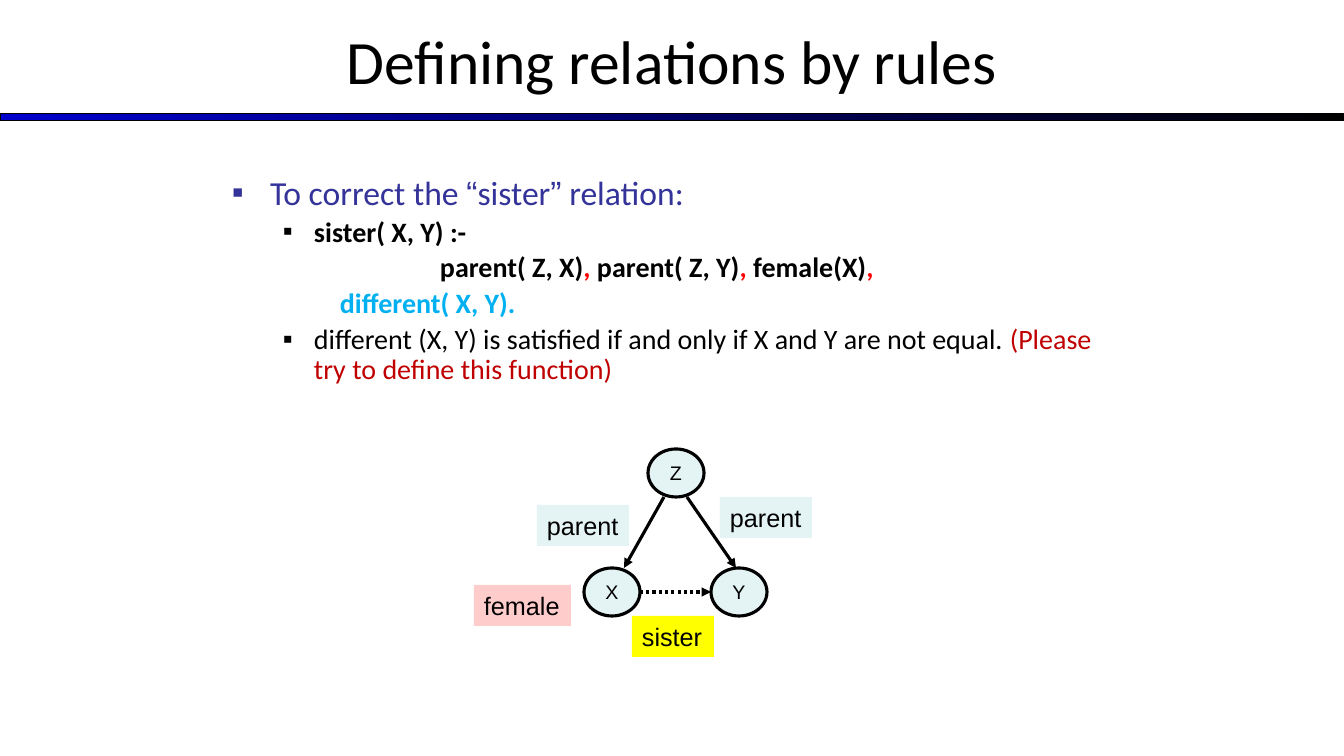
from dataclasses import dataclass

from lxml import etree
from pptx import Presentation
from pptx.dml.color import RGBColor
from pptx.enum.dml import MSO_LINE
from pptx.enum.shapes import MSO_CONNECTOR, MSO_SHAPE
from pptx.enum.text import MSO_ANCHOR, MSO_AUTO_SIZE, PP_ALIGN
from pptx.oxml.ns import qn
from pptx.util import Pt

OVAL, RECT = MSO_SHAPE.OVAL, MSO_SHAPE.RECTANGLE
STRAIGHT = MSO_CONNECTOR.STRAIGHT
DOTTED = MSO_LINE.ROUND_DOT
MIDDLE, TOP = MSO_ANCHOR.MIDDLE, MSO_ANCHOR.TOP
CENTER, LEFT = PP_ALIGN.CENTER, PP_ALIGN.LEFT
NO_AUTOFIT = MSO_AUTO_SIZE.NONE
SLIDE_W, SLIDE_H = 1344, 756
EMU_PER_PX = 12192000 / SLIDE_W
TITLE_ONLY = 5


@dataclass(frozen=True)
class Theme:
    text_font: str = "Calibri"
    diagram_font: str = "Arial"
    black: str = "000000"
    blue: str = "0000CC"
    indigo: str = "333399"
    red: str = "FF0000"
    dark_red: str = "C00000"
    cyan: str = "00B0F0"
    pale: str = "E4F3F4"
    pink: str = "FFCCCC"
    yellow: str = "FFFF00"
    title_size: int = 44
    lead_size: int = 24
    body_size: int = 20
    label_size: int = 18
    node_size: int = 14
    thin: float = 0.75
    thick: float = 2.25


def px(length):
    return round(length * EMU_PER_PX)


def rgb(color):
    return RGBColor.from_string(color)


def apply(target, values):
    for name, value in values.items():
        setattr(target, name, value)


class SlideBuilder:
    def __init__(self, slide, theme):
        self.slide = slide
        self.theme = theme

    def run(self, paragraph, text, size, color, font, bold=False):
        run = paragraph.add_run()
        run.text = text
        apply(run.font, {"size": Pt(size), "name": font, "bold": bold})
        run.font.color.rgb = rgb(color)

    def frame(self, shape, anchor, wrap):
        apply(shape.text_frame, {
            "auto_size": NO_AUTOFIT, "word_wrap": wrap, "vertical_anchor": anchor,
            "margin_left": px(10), "margin_right": px(10),
            "margin_top": px(5), "margin_bottom": px(5)})
        return shape.text_frame

    def title(self, text, left, top, width, height):
        heading = self.slide.shapes.title
        apply(heading, {"left": px(left), "top": px(top),
                        "width": px(width), "height": px(height)})
        paragraph = self.frame(heading, MIDDLE, True).paragraphs[0]
        paragraph.alignment = CENTER
        self.run(paragraph, text, self.theme.title_size, self.theme.black,
                 self.theme.text_font)

    def shape(self, kind, left, top, width, height):
        shape = self.slide.shapes.add_shape(kind, px(left), px(top), px(width), px(height))
        shape.shadow.inherit = False
        return shape

    def outline(self, shape, width):
        shape.line.width = Pt(width)
        shape.line.color.rgb = rgb(self.theme.black)

    def gradient_bar(self, left, top, width, height):
        bar = self.shape(RECT, left, top, width, height)
        bar.fill.gradient()
        bar.fill.gradient_angle = 0
        stops = zip(bar.fill.gradient_stops, (self.theme.blue, self.theme.black))
        for position, (stop, color) in enumerate(stops):
            stop.position = position
            stop.color.rgb = rgb(color)
        self.outline(bar, self.theme.thin)

    def caption(self, shape, text, fill, size, anchor, align):
        shape.fill.solid()
        shape.fill.fore_color.rgb = rgb(fill)
        paragraph = self.frame(shape, anchor, False).paragraphs[0]
        paragraph.alignment = align
        self.run(paragraph, text, size, self.theme.black, self.theme.diagram_font)

    def node(self, text, center_x, center_y, width=56, height=48):
        oval = self.shape(OVAL, center_x - width // 2, center_y - height // 2, width, height)
        self.outline(oval, self.theme.thick)
        self.caption(oval, text, self.theme.pale, self.theme.node_size, MIDDLE, CENTER)

    def label(self, text, left, top, width, fill, height=41):
        tag = self.shape(RECT, left, top, width, height)
        tag.line.fill.background()
        self.caption(tag, text, fill, self.theme.label_size, TOP, LEFT)

    def arrow(self, start, end, dash=None):
        edge = self.slide.shapes.add_connector(STRAIGHT, *map(px, start + end))
        self.outline(edge, self.theme.thick)
        if dash is not None:
            edge.line.dash_style = dash
        etree.SubElement(edge.line._get_or_add_ln(), qn("a:tailEnd"), type="triangle")
        etree.SubElement(edge._element.spPr, qn("a:effectLst"))

    def bullet(self, properties, color):
        tint = etree.SubElement(properties, qn("a:buClr"))
        etree.SubElement(tint, qn("a:srgbClr"), val=color)
        etree.SubElement(properties, qn("a:buFont"), typeface=self.theme.diagram_font)
        etree.SubElement(properties, qn("a:buChar"), char="▪")

    def body(self, left, top, width, height, rules):
        box = self.slide.shapes.add_textbox(px(left), px(top), px(width), px(height))
        frame = self.frame(box, TOP, True)
        for index, (level, size, margin, hanging, bullet_color, parts) in enumerate(rules):
            paragraph = frame.add_paragraph() if index else frame.paragraphs[0]
            apply(paragraph, {"level": level, "line_spacing": 0.9,
                              "space_before": Pt(size * 0.2)})
            properties = paragraph._p.get_or_add_pPr()
            properties.set("marL", str(px(margin)))
            properties.set("indent", str(px(-hanging)))
            if bullet_color:
                self.bullet(properties, bullet_color)
            for text, color, font, bold in parts:
                self.run(paragraph, text, size, color, font, bold)


def main():
    theme = Theme()
    deck = Presentation()
    apply(deck, {"slide_width": px(SLIDE_W), "slide_height": px(SLIDE_H)})
    slide = deck.slides.add_slide(deck.slide_layouts[TITLE_ONLY])
    builder = SlideBuilder(slide, theme)

    builder.gradient_bar(0, 114, SLIDE_W, 7)
    builder.title("Defining relations by rules", 0, -3, SLIDE_W, 126)

    def plain(text, color=theme.black, font=theme.text_font):
        return text, color, font, False

    def code(text, color=theme.black):
        return text, color, theme.text_font, True

    comma = code(",", theme.red)
    lead = [plain(text, theme.indigo, font) for text, font in (
        ("To correct the ", theme.text_font), ("“", theme.diagram_font),
        ("sister", theme.text_font), ("”", theme.diagram_font),
        (" relation:", theme.text_font))]
    goals = [code("parent( Z, X)"), comma, code(" parent( Z, Y)"), comma,
             code(" female(X)"), comma]
    remark = [plain("different (X, Y) is satisfied if and only if X and Y are not equal. "),
              plain("(Please try to define this function)", theme.dark_red)]
    builder.body(222, 171, 907, 555, [
        (0, theme.lead_size, 38, 38, theme.indigo, lead),
        (1, theme.body_size, 82, 31, theme.black, [code("sister( X, Y) :-")]),
        (1, theme.body_size, 208, 0, None, goals),
        (1, theme.body_size, 108, 0, None, [code("different( X, Y).", theme.cyan)]),
        (1, theme.body_size, 82, 31, theme.black, remark),
    ])

    builder.arrow((687, 497), (736, 568))
    builder.arrow((664, 497), (624, 568))
    builder.arrow((640, 592), (711, 592), DOTTED)
    for person, center_x, center_y in (("Z", 676, 473), ("X", 612, 592), ("Y", 739, 592)):
        builder.node(person, center_x, center_y)
    for relation, left, top, width, fill in (
            ("parent", 720, 497, 92, theme.pale), ("parent", 537, 505, 92, theme.pale),
            ("sister", 632, 616, 82, theme.yellow), ("female", 474, 585, 97, theme.pink)):
        builder.label(relation, left, top, width, fill)

    deck.save("out.pptx")


if __name__ == "__main__":
    main()
